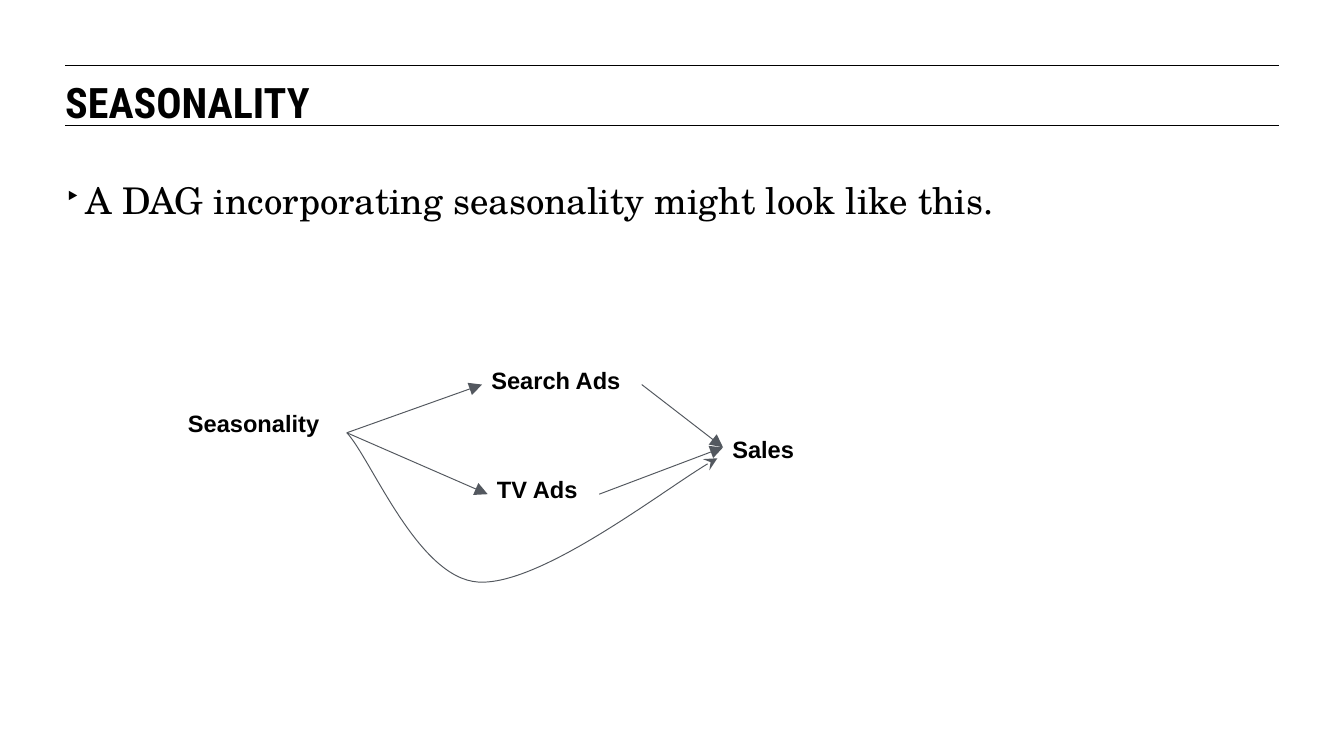
from lxml import etree
from pptx import Presentation
from pptx.dml.color import RGBColor
from pptx.enum.shapes import MSO_CONNECTOR
from pptx.oxml.ns import qn
from pptx.util import Inches, Pt

STRAIGHT = MSO_CONNECTOR.STRAIGHT
LEFT, RIGHT = 1, 3  # connection sites of a rectangle
BLACK, GREY = "000000", "53585F"


def rgb(value):
    return RGBColor.from_string(value)


def write(tf, text, font="Arial", size=18, bold=False, bullet=None, indent=0.22):
    p = tf.paragraphs[0]
    if bullet:
        pPr = p._p.get_or_add_pPr()
        pPr.set("marL", str(Inches(indent)))
        pPr.set("indent", str(-Inches(indent)))
        etree.SubElement(pPr, qn("a:buSzPct"), val="70000")
        etree.SubElement(pPr, qn("a:buChar"), char=bullet)
    r = p.add_run()
    r.text = text
    r.font.name, r.font.size, r.font.bold = font, Pt(size), bold
    r.font.color.rgb = rgb(BLACK)


class Slide:
    """Holds the slide and the style shared by its elements."""

    line_width = Pt(0.75)

    def __init__(self, prs):
        self.s = prs.slides.add_slide(prs.slide_layouts[6])

    def text(self, text, x, y, w, h, inset=0, **style):
        sp = self.s.shapes.add_textbox(Inches(x), Inches(y), Inches(w), Inches(h))
        tf = sp.text_frame
        tf.word_wrap = True
        tf.margin_left = tf.margin_right = Inches(inset)
        tf.margin_top = tf.margin_bottom = Inches(inset)
        write(tf, text, **style)
        return sp

    def node(self, text, x, y, w, h):
        return self.text(text, x, y, w, h, inset=0.1, bold=True)

    def stroke(self, sp, color, head=None):
        sp.line.color.rgb = rgb(color)
        sp.line.width = self.line_width
        if head:
            etree.SubElement(sp.line._get_or_add_ln(), qn("a:tailEnd"),
                             type=head, w="lg", len="lg")

    def connector(self, x1, y1, x2, y2, color, head=None):
        c = self.s.shapes.add_connector(STRAIGHT, x1, y1, x2, y2)
        self.stroke(c, color, head)
        etree.SubElement(c._element.spPr, qn("a:effectLst"))
        return c

    def rule(self, y):
        self.connector(Inches(0.69), Inches(y), Inches(13.53), Inches(y), BLACK)

    def arrow(self, source, target):
        c = self.connector(0, 0, 0, 0, GREY, "triangle")
        c.begin_connect(source, RIGHT)
        c.end_connect(target, LEFT)

    def curve(self, *points):
        """Draw a Bezier curve: a start, then two controls and an end per piece."""
        start, *rest = [(Inches(x), Inches(y)) for x, y in points]
        fb = self.s.shapes.build_freeform(*start)
        fb.add_line_segments(rest, close=False)
        sp = fb.convert_to_shape()
        sp.shadow.inherit = False
        sp.fill.background()
        self.stroke(sp, GREY, "stealth")
        segments = list(sp._element.iter(qn("a:lnTo")))
        for i in range(0, len(segments), 3):
            bezier = etree.Element(qn("a:cubicBezTo"))
            segments[i].addprevious(bezier)
            for segment in segments[i:i + 3]:
                bezier.append(segment[0])
                segment.getparent().remove(segment)


def main():
    prs = Presentation()
    prs.slide_width, prs.slide_height = Inches(14.22), Inches(7.99)
    slide = Slide(prs)

    # Title between two rules
    for y in (0.69, 1.33):
        slide.rule(y)
    slide.text("SEASONALITY", 0.69, 0.81, 12.83, 0.47,
               font="Roboto Condensed", size=32, bold=True)

    # Statement
    slide.text("A DAG incorporating seasonality might look like this.",
               0.69, 1.88, 12.83, 3.7, font="TeX Gyre Schola", size=28, bullet="‣")

    # Nodes of the graph
    season = slide.node("Seasonality", 1.89, 4.23, 1.78, 0.7)
    search = slide.node("Search Ads", 5.1, 3.77, 1.69, 0.6)
    tv = slide.node("TV Ads", 5.16, 4.93, 1.18, 0.6)
    sales = slide.node("Sales", 7.65, 4.5, 2.24, 0.47)

    # Seasonality drives both channels, which drive sales
    for channel in (search, tv):
        slide.arrow(season, channel)
        slide.arrow(channel, sales)

    # Direct effect of seasonality on sales
    slide.curve((3.67, 4.58), (3.93, 4.86), (4.42, 6.12), (5.06, 6.16),
                (5.71, 6.2), (7.17, 5.07), (7.59, 4.85))

    prs.save("out.pptx")


if __name__ == "__main__":
    main()
